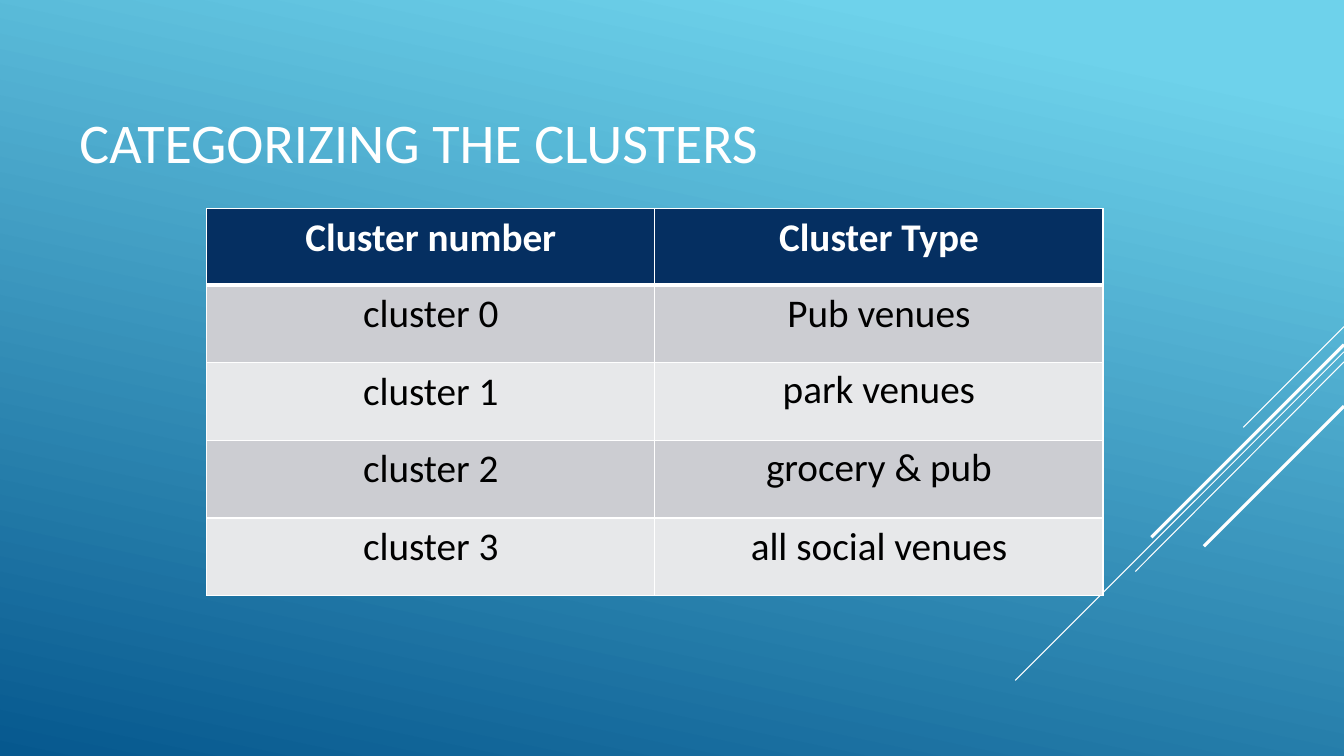
from dataclasses import dataclass

from lxml import etree
from pptx import Presentation
from pptx.dml.color import RGBColor
from pptx.enum.shapes import MSO_CONNECTOR as Link
from pptx.enum.text import MSO_ANCHOR as Anchor, PP_ALIGN as Align
from pptx.oxml.ns import qn
from pptx.util import Inches, Pt

FONT = "Calibri"
WHITE, BLACK, NAVY = "FFFFFF", "000000", "052F61"
BANDS = ("CCCDD2", "E7E8EA")
EDGE = 13.33


@dataclass
class Ray:
    """A diagonal line that runs from the right edge down to the left."""
    top: float
    left: float
    low: float
    width: float


@dataclass
class Row:
    number: str
    kind: str
    tight: bool = False


RAYS = [
    Ray(3.24, 12.33, 4.24, 0.75),
    Ray(3.49, 10.07, 6.75, 0.75),
    Ray(3.59, 11.26, 5.67, 0.75),
    Ray(3.42, 11.42, 5.33, 2.25),
    Ray(4.03, 11.94, 5.42, 2.25),
]
ROWS = [
    Row("Cluster number", "Cluster Type"),
    Row("cluster 0", "Pub venues"),
    Row("cluster 1", "park venues", tight=True),
    Row("cluster 2", "grocery & pub", tight=True),
    Row("cluster 3", "all social venues"),
]


def color(code: str) -> RGBColor:
    return RGBColor.from_string(code)


def add_run(para, text: str, size: float, tint: str, bold: bool = False) -> None:
    run = para.add_run()
    run.text = text
    font = run.font
    font.name, font.size, font.bold = FONT, Pt(size), bold
    font.color.rgb = color(tint)


def paint_back(slide) -> None:
    fill = slide.background.fill
    fill.gradient()
    fill.gradient_angle = 258
    for stop, place, tint in zip(fill.gradient_stops, (0.1, 1), ("6ED2EB", "06588E")):
        stop.position = place
        stop.color.rgb = color(tint)


def draw_ray(slide, ray: Ray) -> None:
    line = slide.shapes.add_connector(
        Link.STRAIGHT, Inches(EDGE), Inches(ray.top), Inches(ray.left), Inches(ray.low))
    line.line.color.rgb = color(WHITE)
    line.line.width = Pt(ray.width)
    etree.SubElement(line._element.spPr, qn("a:effectLst"))


def draw_title(slide, text: str) -> None:
    box = slide.shapes.add_textbox(Inches(0.69), Inches(0.57), Inches(11.96), Inches(1.65))
    frame = box.text_frame
    frame.word_wrap = True
    frame.vertical_anchor = Anchor.MIDDLE
    add_run(frame.paragraphs[0], text, 40, WHITE)


def set_edges(cell, top: float, low: float) -> None:
    props = cell._tc.get_or_add_tcPr()
    sides = {"lnL": 1, "lnR": 1, "lnT": top, "lnB": low}
    for spot, (tag, width) in enumerate(sides.items()):
        edge = etree.Element(qn(f"a:{tag}"), w=str(Pt(width)))
        solid = etree.SubElement(edge, qn("a:solidFill"))
        etree.SubElement(solid, qn("a:srgbClr"), val=WHITE)
        props.insert(spot, edge)


def draw_cell(cell, text: str, index: int, tight: bool) -> None:
    head = index == 0
    cell.fill.solid()
    cell.fill.fore_color.rgb = color(NAVY if head else BANDS[(index - 1) % 2])
    set_edges(cell, top=3 if index == 1 else 1, low=3 if head else 1)
    para = cell.text_frame.paragraphs[0]
    para.alignment = Align.CENTER
    if tight:
        cell.margin_left = cell.margin_right = Inches(0.07)
        cell.margin_top = cell.margin_bottom = 0
        para.line_spacing = 1.07
        para.space_after = Pt(8)
    add_run(para, text, 28, WHITE if head else BLACK, bold=head)


def draw_table(slide, rows: list[Row]) -> None:
    frame = slide.shapes.add_table(
        len(rows), 2, Inches(2.05), Inches(2.07), Inches(8.89), Inches(3.83))
    table = frame.table
    for index, row in enumerate(rows):
        table.rows[index].height = Inches(0.77 if index else 0.76)
        draw_cell(table.cell(index, 0), row.number, index, False)
        draw_cell(table.cell(index, 1), row.kind, index, row.tight)


def main() -> None:
    deck = Presentation()
    deck.slide_width, deck.slide_height = Inches(EDGE), Inches(7.5)
    slide = deck.slides.add_slide(deck.slide_layouts[6])

    # Background and diagonal lines
    paint_back(slide)
    for ray in RAYS:
        draw_ray(slide, ray)

    # Title and table
    draw_title(slide, "CATEGORIZING THE CLUSTERS")
    draw_table(slide, ROWS)

    deck.save("out.pptx")


if __name__ == "__main__":
    main()
